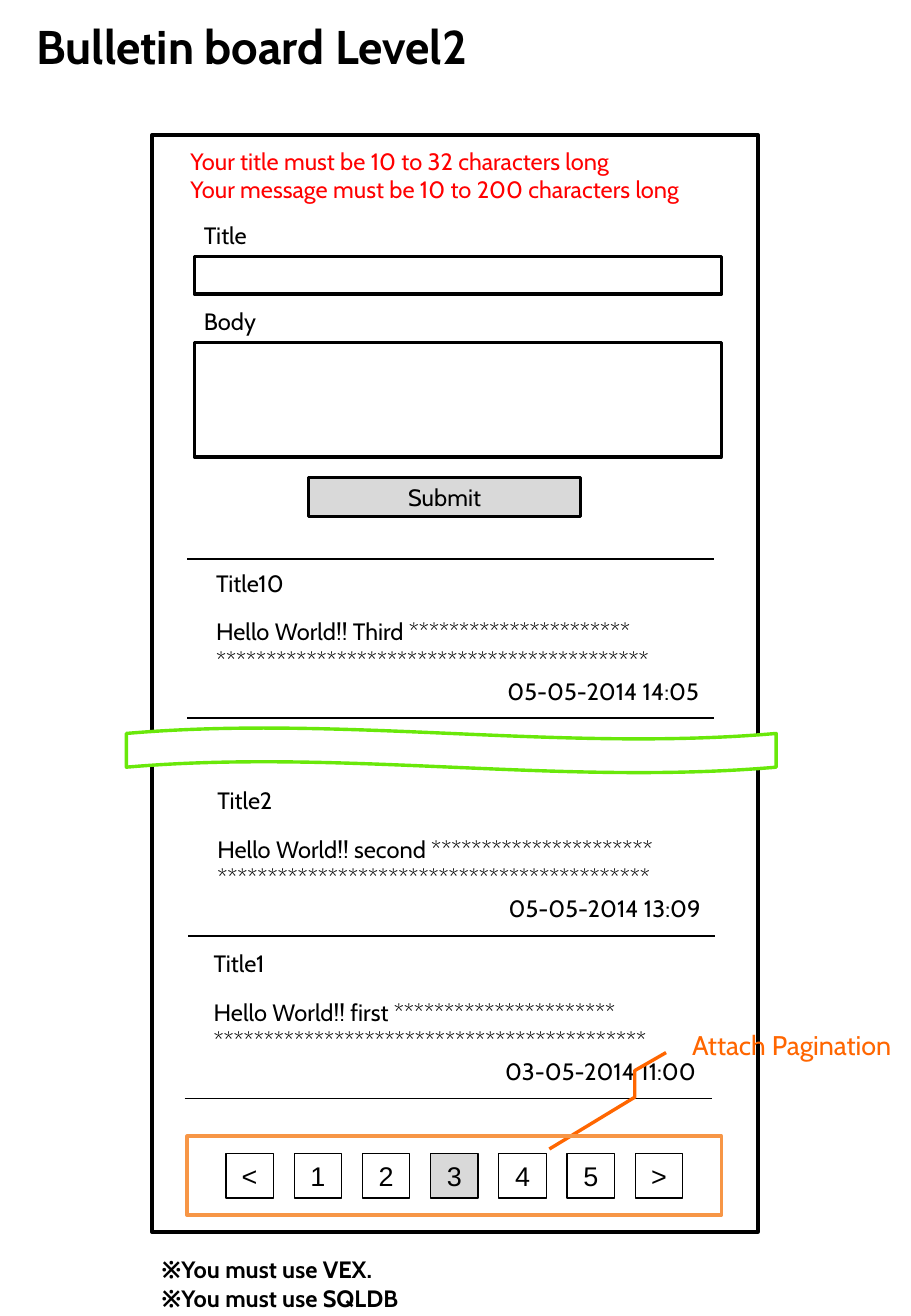
"""Builds the wireframe slide of a paginated bulletin board."""
from dataclasses import dataclass

from lxml.etree import SubElement
from pptx import Presentation
from pptx.dml.color import RGBColor
from pptx.enum.shapes import MSO_CONNECTOR, MSO_SHAPE as Shape
from pptx.enum.text import MSO_ANCHOR as Anchor, MSO_AUTO_SIZE, PP_ALIGN as Align
from pptx.oxml.ns import qn
from pptx.util import Inches, Pt


@dataclass(frozen=True)
class Theme:
    """Colours, fonts and type sizes."""
    black: str = "000000"
    white: str = "FFFFFF"
    grey: str = "D9D9D9"
    red: str = "FF0000"
    orange: str = "FF6600"
    frame: str = "F79646"
    green: str = "69E80A"
    font: str = "Cabin"
    page_font: str = "Arial"
    title: int = 28
    note: int = 16
    body: int = 14


T = Theme()
TITLE = "Bulletin board Level2"
ERRORS = ["Your title must be 10 to 32 characters long",
          "Your message must be 10 to 200 characters long"]
NOTES = ["※You must use VEX.", "※You must use SQLDB"]
FIELDS = [("Title", 1.77, 0.59, 2.11, 0.31), ("Body", 2.48, 0.96, 2.82, 0.94)]
POSTS = [("Title10", "Third", "05-05-2014 14:05", 1.54, 5.91),
         ("Title2", "second", "05-05-2014 13:09", 1.55, 7.7),
         ("Title1", "first", "03-05-2014 11:00", 1.52, 9.04)]
PAGES = ["<", "1", "2", "3", "4", "5", ">"]
CURRENT_PAGE = "3"
CALLOUT = [0.573, -0.052, 0.745, -0.167, 1, -0.167, 1.496, -0.481]
RULE_WIDTH = 4.34
PAGE_LEFT, PAGE_STEP = 1.86, 0.5617


def rgb(value):
    return RGBColor.from_string(value)


def inches(*values):
    return [Inches(v) for v in values]


def write(tf, lines, size=T.body, color=T.black, font=T.font, bold=False,
          align=Align.LEFT, anchor=Anchor.TOP, gap=0):
    tf.word_wrap = True
    tf.auto_size = MSO_AUTO_SIZE.NONE
    tf.vertical_anchor = anchor
    for i, line in enumerate(lines):
        p = tf.add_paragraph() if i else tf.paragraphs[0]
        p.text = line
        p.alignment = align
        p.space_before = Pt(gap if i else 0)
        p.font.name, p.font.size, p.font.bold = font, Pt(size), bold
        p.font.color.rgb = rgb(color)


def add_text(slide, box, lines, **style):
    s = slide.shapes.add_textbox(*inches(*box))
    write(s.text_frame, lines, **style)


def add_box(slide, box, line=T.black, width=2, fill=None, kind=Shape.RECTANGLE):
    s = slide.shapes.add_shape(kind, *inches(*box))
    s.shadow.inherit = False
    s.line.color.rgb, s.line.width = rgb(line), Pt(width)
    if fill:
        s.fill.solid()
        s.fill.fore_color.rgb = rgb(fill)
    else:
        s.fill.background()
    return s


def add_rule(slide, left, top):
    s = slide.shapes.add_connector(
        MSO_CONNECTOR.STRAIGHT, *inches(left, top, left + RULE_WIDTH, top))
    s.line.color.rgb, s.line.width = rgb(T.black), Pt(1)
    SubElement(s.element.spPr, qn("a:effectLst"))


def add_form(slide):
    add_text(slide, (1.47, 1.16, 4.8, 0.57), ERRORS, color=T.red)
    for label, label_top, label_width, top, height in FIELDS:
        add_text(slide, (1.58, label_top, label_width, 0.34), [label])
        add_box(slide, (1.6, top, 4.34, height))
    s = add_box(slide, (2.54, 3.93, 2.24, 0.32), fill=T.grey)
    write(s.text_frame, ["Submit"], align=Align.CENTER, anchor=Anchor.MIDDLE)


def add_posts(slide):
    add_rule(slide, 1.54, 4.6)
    for title, order, date, left, rule in POSTS:
        message = f"Hello World!! {order} {'*' * 22}\v{'*' * 43}"
        add_rule(slide, left, rule)
        add_text(slide, (left + 0.14, rule - 1.28, 4.18, 0.99), [title, message], gap=12)
        add_text(slide, (left + 2.54, rule - 0.39, 1.8, 0.34), [date])


def add_pagination(slide):
    s = add_box(slide, (5.6, 8.17, 2.24, 0.86), T.orange,
                kind=Shape.LINE_CALLOUT_3_NO_BORDER)
    for i, value in enumerate(CALLOUT):
        s.adjustments[i] = value
    write(s.text_frame, ["Attach Pagination"], T.note, T.orange, anchor=Anchor.MIDDLE)
    for i, page in enumerate(PAGES):
        s = add_box(slide, (PAGE_LEFT + i * PAGE_STEP, 9.49, 0.39, 0.37), width=0.75,
                    fill=T.grey if page == CURRENT_PAGE else None)
        write(s.text_frame, [page], T.note, font=T.page_font,
              align=Align.CENTER, anchor=Anchor.MIDDLE)
    add_box(slide, (1.54, 9.35, 4.4, 0.65), T.frame)


def main():
    prs = Presentation()
    prs.slide_width, prs.slide_height = inches(7.5, 10.83)
    slide = prs.slides.add_slide(prs.slide_layouts[5])
    title = slide.shapes.title
    title.left, title.top, title.width, title.height = inches(0.2, -0.02, 6.09, 0.79)
    write(title.text_frame, [TITLE], T.title, bold=True, anchor=Anchor.MIDDLE)
    add_box(slide, (1.25, 1.11, 4.99, 9.03))
    add_form(slide)
    add_posts(slide)
    add_pagination(slide)
    add_box(slide, (1.04, 5.99, 5.35, 0.37), T.green, fill=T.white, kind=Shape.WAVE)
    add_text(slide, (1.23, 10.28, 4.49, 0.55), NOTES, bold=True)
    prs.save("out.pptx")


if __name__ == "__main__":
    main()
